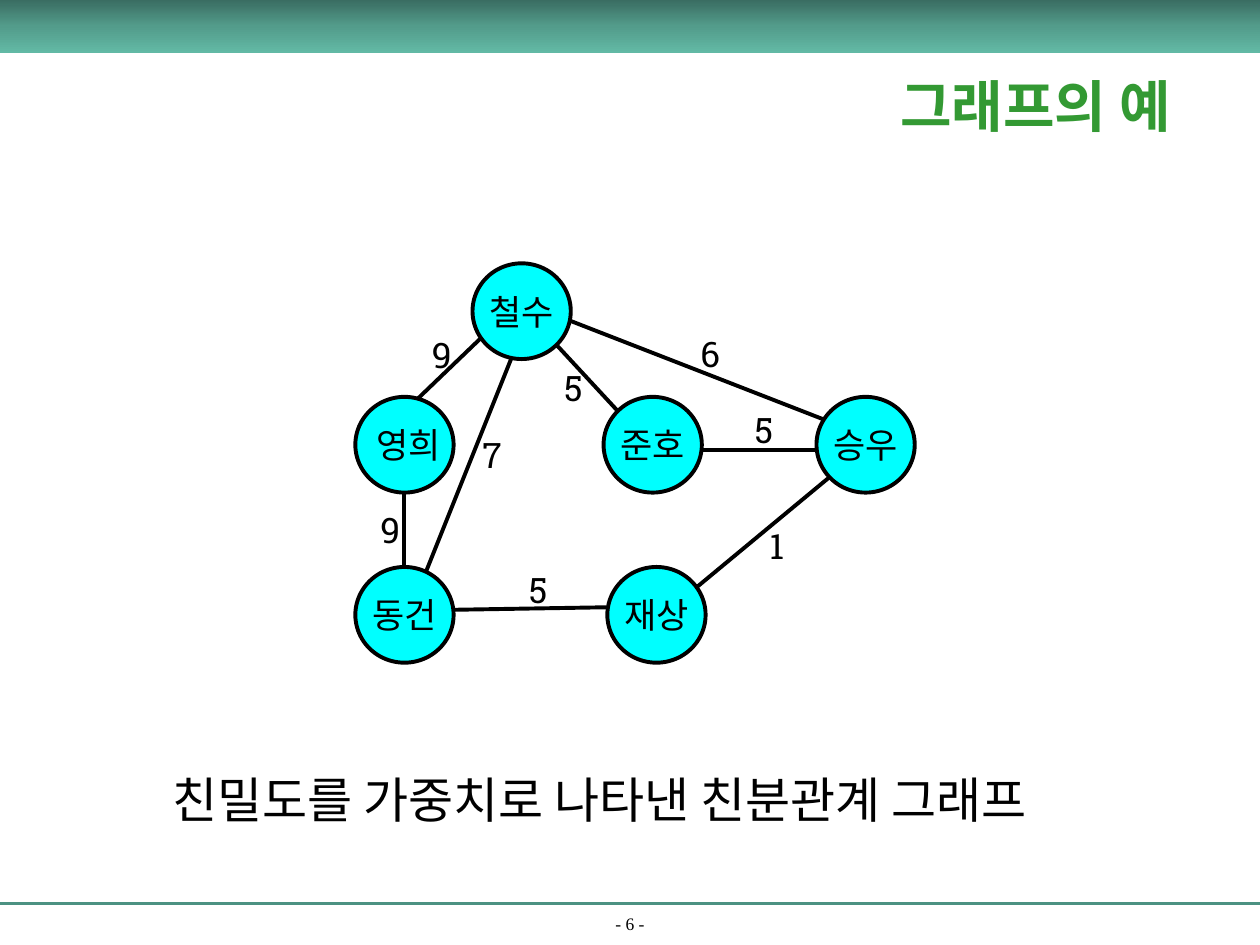
from copy import deepcopy

from lxml import etree
from pptx import Presentation
from pptx.dml.color import RGBColor
from pptx.enum import shapes, text
from pptx.oxml.ns import qn
from pptx.util import Inches, Pt

BLACK = RGBColor(0, 0, 0)
CYAN = RGBColor(0x00, 0xFF, 0xFF)
GREEN = RGBColor(0x33, 0x99, 0x33)
TEAL = RGBColor(0x4C, 0x92, 0x82)
SHADES = [(0, RGBColor(0x3A, 0x6D, 0x62)),
          (0.5, RGBColor(0x53, 0x9C, 0x8B)),
          (1, RGBColor(0x62, 0xB9, 0xA5))]
HANGUL = "Noto Sans CJK KR"
SLAB = "Roboto Slab"
SERIF = "Times New Roman"
LEFT, CENTER = text.PP_ALIGN.LEFT, text.PP_ALIGN.CENTER
TOP, MIDDLE, BOTTOM = (text.MSO_ANCHOR.TOP, text.MSO_ANCHOR.MIDDLE,
                       text.MSO_ANCHOR.BOTTOM)

NODE_W, NODE_H = 0.78, 0.76
NODES = [(" 영희", 0, 1.06), ("철수", 0.93, 0), ("준호", 1.97, 1.06),
         ("동건", 0, 2.41), ("승우", 3.66, 1.06), ("재상", 2, 2.41)]
# weight, line start, line end, label corner
EDGES = [
    ("9", (0.49, 1.08), (0.99, 0.6), (0.51, 0.51)),
    ("6", (1.69, 0.45), (3.72, 1.24), (2.64, 0.5)),
    ("5", (1.59, 0.64), (2.09, 1.18), (1.56, 0.77)),
    ("5", (0.77, 2.75), (1.99, 2.73), (1.28, 2.37)),
    ("5", (2.76, 1.48), (3.66, 1.48), (3.07, 1.1)),
    ("1", (2.71, 2.57), (3.76, 1.7), (3.19, 2.02)),
    ("9", (0.39, 1.83), (0.39, 2.41), (0.1, 1.9)),
    ("7", (1.24, 0.75), (0.56, 2.45), (0.91, 1.3)),
]


def write(shape, words, size=20, font=HANGUL, color=BLACK, bold=False,
          align=LEFT, anchor=TOP, wrap=False):
    frame = shape.text_frame
    frame.word_wrap = wrap
    frame.vertical_anchor = anchor
    para = frame.paragraphs[0]
    para.alignment = align
    run = para.add_run()
    run.text = words
    run.font.size, run.font.name, run.font.bold = Pt(size), font, bold
    run.font.color.rgb = color
    east = etree.SubElement(run.font._element, qn("a:ea"))
    east.set("typeface", HANGUL)


def label(slide, box, words, **style):
    write(slide.shapes.add_textbox(*map(Inches, box)), words, **style)


def rule(slide, start, end, color=BLACK, width=2.25):
    line = slide.shapes.add_connector(
        shapes.MSO_CONNECTOR.STRAIGHT, *map(Inches, (*start, *end)))
    line.line.color.rgb, line.line.width = color, Pt(width)
    etree.SubElement(line._element.spPr, qn("a:effectLst"))


def banner(slide, box):
    band = slide.shapes.add_shape(
        shapes.MSO_SHAPE.RECTANGLE, *map(Inches, box))
    band.shadow.inherit = False
    band.line.fill.background()
    band.fill.gradient()
    band.fill.gradient_angle = 270
    stops = band._element.spPr.find(".//" + qn("a:gsLst"))
    stops.insert(1, deepcopy(stops[0]))
    for stop, (place, color) in zip(band.fill.gradient_stops, SHADES):
        stop.position, stop.color.rgb = place, color


def footer(slide, x, y, w):
    rule(slide, (x, y), (x + w, y), TEAL, 1.5)
    label(slide, (x, y + 0.07, w, 0.22), "- 6 -", size=10, font=SERIF,
          align=CENTER, anchor=BOTTOM, wrap=True)


def node(slide, x, y, name):
    disc = slide.shapes.add_shape(
        shapes.MSO_SHAPE.OVAL, *map(Inches, (x, y, NODE_W, NODE_H)))
    disc.shadow.inherit = False
    disc.fill.solid()
    disc.fill.fore_color.rgb = CYAN
    disc.line.color.rgb, disc.line.width = BLACK, Pt(2.25)
    write(disc, name, align=CENTER, anchor=MIDDLE)


def graph(slide, x, y):
    def shift(point):
        return x + point[0], y + point[1]

    for _, start, end, _ in EDGES:
        rule(slide, shift(start), shift(end))
    for name, *spot in NODES:
        node(slide, *shift(spot), name)
    for weight, _, _, spot in EDGES:
        label(slide, (*shift(spot), 0.37, 0.43), weight, font=SLAB)


def main():
    deck = Presentation()
    deck.slide_width, deck.slide_height = Inches(10), Inches(7.5)
    slide = deck.slides.add_slide(deck.slide_layouts[6])
    footer(slide, 0, 7.17, 10)
    banner(slide, (0, 0, 10, 0.42))
    graph(slide, 2.82, 2.09)
    label(slide, (1.27, 6.06, 7.63, 0.57),
          "친밀도를 가중치로 나타낸 친분관계 그래프", size=28, font="Arial")
    label(slide, (6.44, 0.42, 3.56, 0.83), "그래프의 예", size=32, font=SERIF,
          color=GREEN, bold=True, align=CENTER, anchor=MIDDLE, wrap=True)
    deck.save("out.pptx")


if __name__ == "__main__":
    main()
